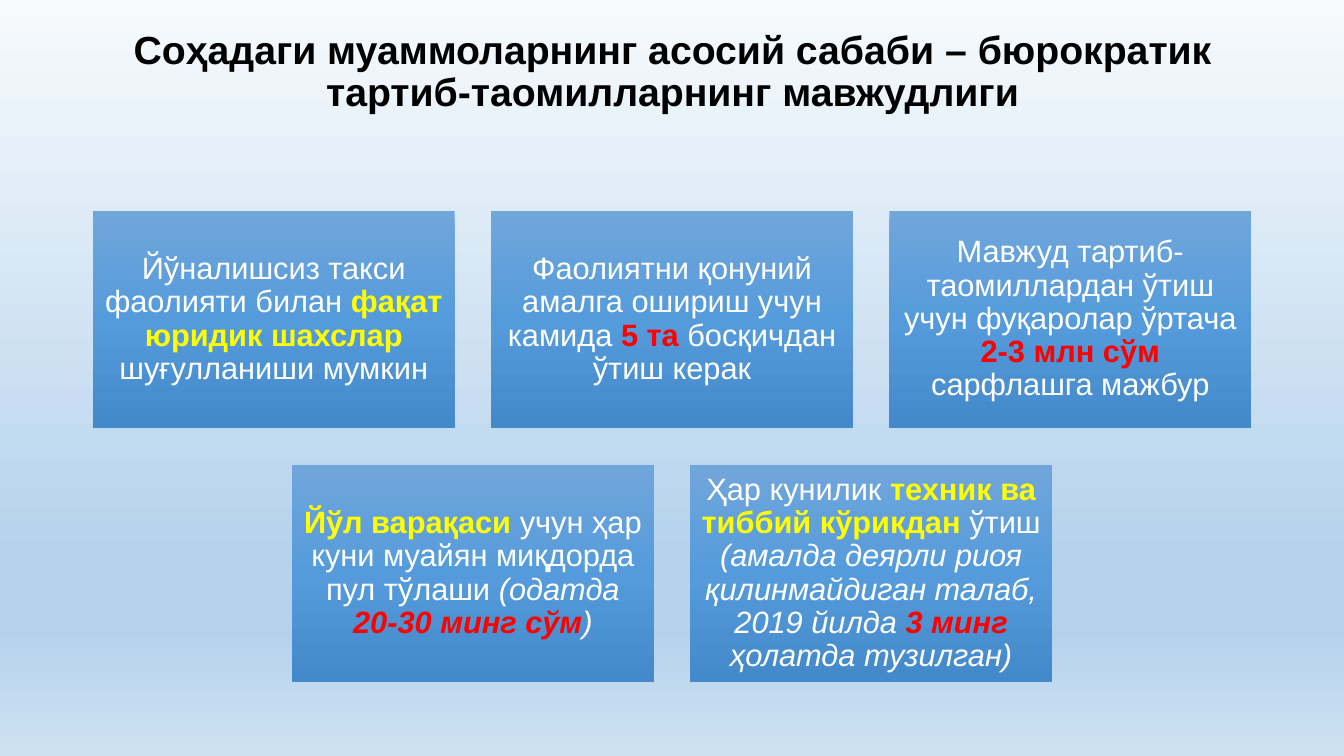
"""Build the slide on bureaucratic procedures as the main cause of problems."""
import dataclasses

import lxml.etree
import pptx
import pptx.dml.color
import pptx.enum.shapes
import pptx.enum.text
import pptx.oxml.ns
import pptx.util

Inches = pptx.util.Inches


@dataclasses.dataclass(frozen=True)
class Theme:
    """Colours, fonts and type sizes of the slide."""
    font: str = "Arial"
    title_size: int = 28
    card_size: int = 22
    black: str = "000000"
    white: str = "FFFFFF"
    yellow: str = "FFFF00"
    red: str = "FF0000"
    background: tuple = ((0, "F7FAFD"), (74, "B5D2EC"), (83, "B5D2EC"), (100, "CEE1F2"))
    card: tuple = ((0, "71A6DB"), (50, "559BDB"), (100, "448ACA"))


THEME = Theme()
SLIDE_WIDTH, SLIDE_HEIGHT = 13.33, 7.5
CARD_WIDTH, CARD_HEIGHT, CARD_GAP = 3.59, 2.16, 0.36
CARDS_TOP = 2.09

PLAIN = {"color": THEME.white}
ITALIC = {"color": THEME.white, "italic": True}
YELLOW = {"color": THEME.yellow, "bold": True}
RED = {"color": THEME.red, "bold": True}
RED_ITALIC = {"color": THEME.red, "bold": True, "italic": True}

TITLE = "Соҳадаги муаммоларнинг асосий сабаби – бюрократик тартиб-таомилларнинг мавжудлиги"
CARD_ROWS = [
    [
        [("Йўналишсиз такси фаолияти билан ", PLAIN),
         ("фақат юридик шахслар ", YELLOW),
         ("шуғулланиши мумкин", PLAIN)],
        [("Фаолиятни қонуний амалга ошириш учун камида ", PLAIN),
         ("5 та", RED),
         (" босқичдан ўтиш керак", PLAIN)],
        [("Мавжуд тартиб-таомиллардан ўтиш учун фуқаролар ўртача ", PLAIN),
         ("2-3 млн сўм", RED),
         (" сарфлашга мажбур", PLAIN)],
    ],
    [
        [("Йўл варақаси ", YELLOW),
         ("учун ҳар куни муайян миқдорда пул тўлаши ", PLAIN),
         ("(одатда ", ITALIC),
         ("20-30 минг сўм", RED_ITALIC),
         (")", ITALIC)],
        [("Ҳар кунилик ", PLAIN),
         ("техник ва тиббий кўрикдан ", YELLOW),
         ("ўтиш ", PLAIN),
         ("(амалда деярли риоя қилинмайдиган талаб, 2019 йилда ", ITALIC),
         ("3 минг ", RED_ITALIC),
         ("ҳолатда тузилган)", ITALIC)],
    ],
]


def set_gradient(fill, element, stops):
    """Fill from top to bottom with (percent, colour) stops held in the element."""
    fill.gradient()
    fill.gradient_angle = 270
    qn = pptx.oxml.ns.qn
    stop_list = next(element.iter(qn("a:gsLst")))
    for stop in list(stop_list):
        stop_list.remove(stop)
    for percent, color in stops:
        stop = lxml.etree.SubElement(stop_list, qn("a:gs"), pos=str(percent * 1000))
        lxml.etree.SubElement(stop, qn("a:srgbClr"), val=color)


def add_run(paragraph, text, *, size, color, bold=False, italic=False):
    """Append formatted text to a paragraph."""
    run = paragraph.add_run()
    run.text = text
    font = run.font
    font.name = THEME.font
    font.size = pptx.util.Pt(size)
    font.color.rgb = pptx.dml.color.RGBColor.from_string(color)
    font.bold = bold
    font.italic = italic


def write_centered(shape, runs, size, inset):
    """Write runs as one paragraph centred both ways in a shape."""
    frame = shape.text_frame
    frame.word_wrap = True
    frame.vertical_anchor = pptx.enum.text.MSO_ANCHOR.MIDDLE
    frame.margin_left = frame.margin_right = Inches(inset)
    frame.margin_top = frame.margin_bottom = Inches(inset)
    paragraph = frame.paragraphs[0]
    paragraph.alignment = pptx.enum.text.PP_ALIGN.CENTER
    paragraph.line_spacing = 0.9
    for text, style in runs:
        add_run(paragraph, text, size=size, **style)


def add_title(slide, text):
    """Add the bold slide title."""
    box = slide.shapes.add_textbox(Inches(0.92), Inches(0.18), Inches(11.5), Inches(1.09))
    write_centered(box, [(text, {"color": THEME.black, "bold": True})], THEME.title_size, 0.1)


def add_card(slide, left, top, runs):
    """Add one gradient card with its text."""
    card = slide.shapes.add_shape(
        pptx.enum.shapes.MSO_SHAPE.RECTANGLE,
        Inches(left), Inches(top), Inches(CARD_WIDTH), Inches(CARD_HEIGHT))
    card.shadow.inherit = False
    card.line.fill.background()
    set_gradient(card.fill, card.element, THEME.card)
    write_centered(card, runs, THEME.card_size, 0.09)


def add_card_row(slide, top, cards):
    """Add a row of evenly spaced cards centred on the slide."""
    pitch = CARD_WIDTH + CARD_GAP
    left = (SLIDE_WIDTH - len(cards) * pitch + CARD_GAP) / 2
    for column, runs in enumerate(cards):
        add_card(slide, left + column * pitch, top, runs)


def main():
    """Build and save the presentation."""
    presentation = pptx.Presentation()
    presentation.slide_width = Inches(SLIDE_WIDTH)
    presentation.slide_height = Inches(SLIDE_HEIGHT)
    slide = presentation.slides.add_slide(presentation.slide_layouts[6])
    set_gradient(slide.background.fill, slide.element, THEME.background)
    add_title(slide, TITLE)
    for row, cards in enumerate(CARD_ROWS):
        add_card_row(slide, CARDS_TOP + row * (CARD_HEIGHT + CARD_GAP), cards)
    presentation.save("out.pptx")


main()
